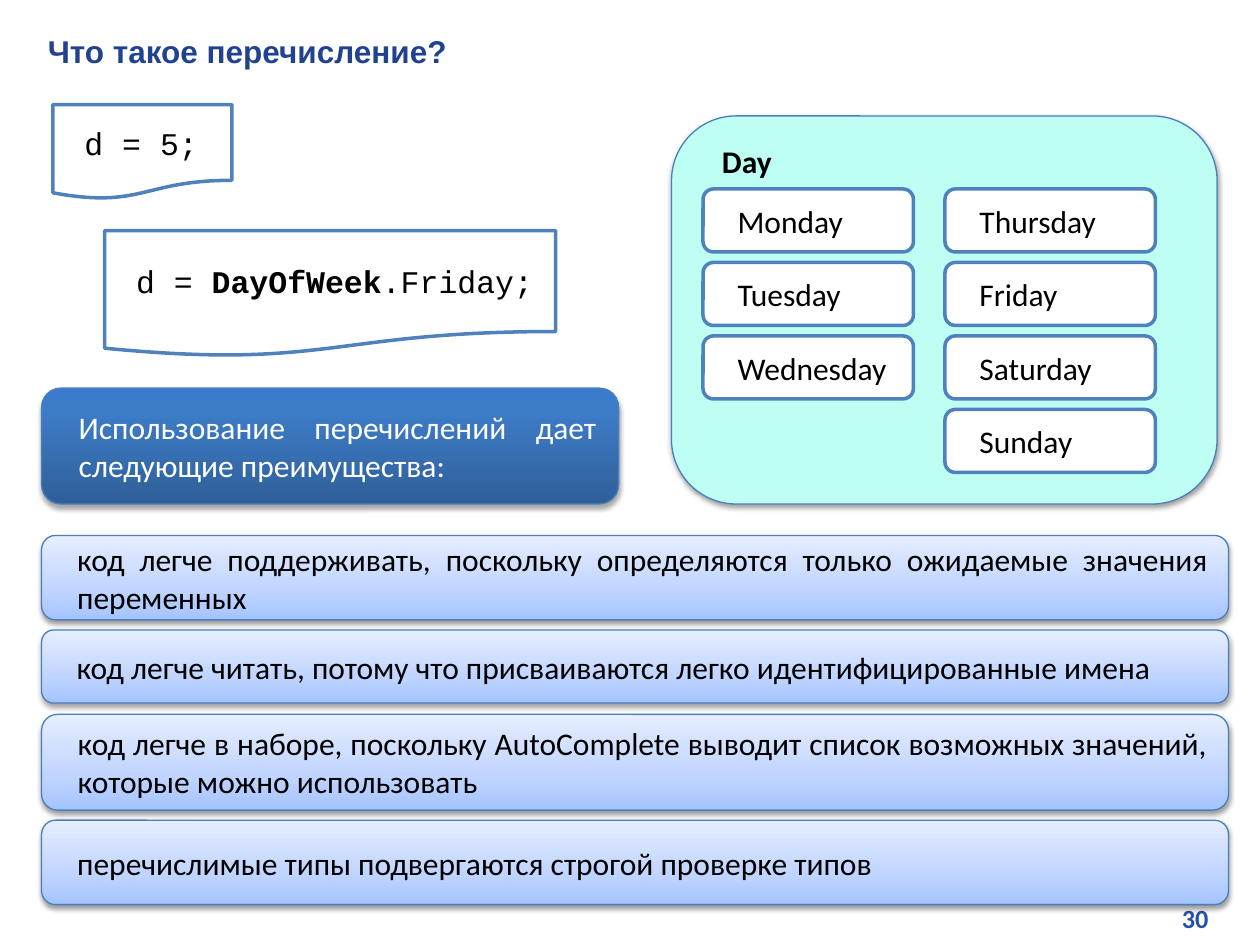
"""Builds the slide that explains what an enumeration is."""
from lxml.etree import SubElement
from pptx import Presentation
from pptx.dml.color import RGBColor
from pptx.enum.shapes import MSO_SHAPE as Shape
from pptx.enum.text import MSO_ANCHOR as Anchor, PP_ALIGN as Align
from pptx.oxml.ns import qn
from pptx.util import Inches, Pt

BLUE_GRADIENT = [(0, "2F5F99"), (80, "3D7CC7"), (100, "3A7CCB")]
LIGHT_GRADIENT = [(0, "A4C4FF"), (35, "BFD4FF"), (100, "E6EEFF")]
DAY_COLUMNS = [
    ["Monday", "Tuesday", "Wednesday"],
    ["Thursday", "Friday", "Saturday", "Sunday"],
]
BENEFITS = [
    (4.25, 0.67, "код легче поддерживать, поскольку определяются только ожидаемые значения переменных"),
    (5, 0.58, "код легче читать, потому что присваиваются легко идентифицированные имена"),
    (5.67, 0.76, "код легче в наборе, поскольку AutoComplete выводит список возможных значений, которые можно использовать"),
    (6.51, 0.67, "перечислимые типы подвергаются строгой проверке типов"),
]


def color(value):
    return RGBColor.from_string(value)


def apply(target, values):
    for name, value in values.items():
        setattr(target, name, value)


class SlideBuilder:
    """Holds the style and the current slide."""

    margins = {
        "margin_left": Inches(0.13), "margin_right": Inches(0.13),
        "margin_top": Inches(0.06), "margin_bottom": Inches(0.06),
        "word_wrap": True,
    }

    def __init__(self, presentation):
        self.slide = presentation.slides.add_slide(presentation.slide_layouts[5])

    def fill_text(self, shape, runs, align=Align.JUSTIFY, anchor=Anchor.MIDDLE, indent=0,
                  font="Calibri", size=18, ink="000000"):
        frame = shape.text_frame
        apply(frame, {**self.margins, "vertical_anchor": anchor})
        paragraph = frame.paragraphs[0]
        paragraph.alignment = align
        if indent:
            properties = paragraph._p.get_or_add_pPr()
            properties.set("marL", str(Inches(indent)))
            properties.set("indent", "0")
        for text, bold in runs:
            run = paragraph.add_run()
            run.text = text
            apply(run.font, {"name": font, "size": Pt(size), "bold": bold})
            run.font.color.rgb = color(ink)

    def title(self, text, box):
        title = self.slide.shapes.title
        apply(title, dict(zip(("left", "top", "width", "height"), map(Inches, box))))
        self.fill_text(title, [(text, True)], Align.LEFT, font="Arial", ink="21438F")

    def page_number(self, text, box):
        shape = self.slide.shapes.add_textbox(*map(Inches, box))
        self.fill_text(shape, [(text, True)], Align.RIGHT, Anchor.TOP, size=15, ink="2750AB")

    def gradient(self, shape, stops):
        shape.fill.gradient()
        shape.fill.gradient_angle = 90
        stop_list = shape._element.spPr.find(qn("a:gradFill")).find(qn("a:gsLst"))
        for stop in list(stop_list):
            stop_list.remove(stop)
        for position, value in stops:
            stop = SubElement(stop_list, qn("a:gs"), pos=str(position * 1000))
            SubElement(stop, qn("a:srgbClr"), val=value)

    def shadow(self, shape, opacity, distance):
        effects = shape._element.spPr.find(qn("a:effectLst"))
        outer = SubElement(effects, qn("a:outerShdw"), blurRad=str(Pt(3.1)),
                           dist=str(Pt(distance)), dir="5400000", rotWithShape="0")
        black = SubElement(outer, qn("a:srgbClr"), val="000000")
        SubElement(black, qn("a:alpha"), val=str(opacity * 1000))

    def box(self, kind, box, runs, fill="FFFFFF", line=("4F81BD", 2), shadow=None, **text_style):
        shape = self.slide.shapes.add_shape(kind, *map(Inches, box))
        shape.shadow.inherit = False
        if isinstance(fill, str):
            shape.fill.solid()
            shape.fill.fore_color.rgb = color(fill)
        else:
            self.gradient(shape, fill)
        shape.line.color.rgb = color(line[0])
        shape.line.width = Pt(line[1])
        if shadow:
            self.shadow(shape, *shadow)
        self.fill_text(shape, runs, indent=0.12, **text_style)

    def code(self, box, runs):
        self.box(Shape.FLOWCHART_DOCUMENT, box, runs, font="Courier New")

    def panel(self, box, text, fill, shadow=(38, 1.6), bold=False, **text_style):
        self.box(Shape.ROUNDED_RECTANGLE, box, [(text, bold)], fill,
                 ("4B7EBC", 0.75), shadow, **text_style)

    def day(self, box, name):
        self.box(Shape.ROUNDED_RECTANGLE, box, [(name, False)])


def main():
    presentation = Presentation()
    presentation.slide_width, presentation.slide_height = Inches(10), Inches(7.5)
    builder = SlideBuilder(presentation)
    builder.page_number("30", (7.6, 7.1, 2.12, 0.38))
    builder.title("Что такое перечисление?", (0.25, 0.2, 9.54, 0.4))
    builder.code((0.42, 0.83, 1.42, 0.75), [("d = 5;", False)])
    builder.code((0.83, 1.83, 3.58, 1),
                 [("d = ", False), ("DayOfWeek", True), (".Friday;", False)])
    builder.panel((5.33, 0.92, 4.33, 3.08), "Day", "BDFFF2", bold=True, anchor=Anchor.TOP)
    for column, names in enumerate(DAY_COLUMNS):
        for row, name in enumerate(names):
            builder.day((5.58 + 1.92 * column, 1.5 + 7 / 12 * row, 1.67, 0.5), name)
    builder.panel((0.33, 3.08, 4.58, 0.92),
                  "Использование перечислений дает следующие преимущества:",
                  BLUE_GRADIENT, (35, 1.8), ink="FFFFFF")
    for top, height, text in BENEFITS:
        builder.panel((0.33, top, 9.42, height), text, LIGHT_GRADIENT)
    presentation.save("out.pptx")


if __name__ == "__main__":
    main()
